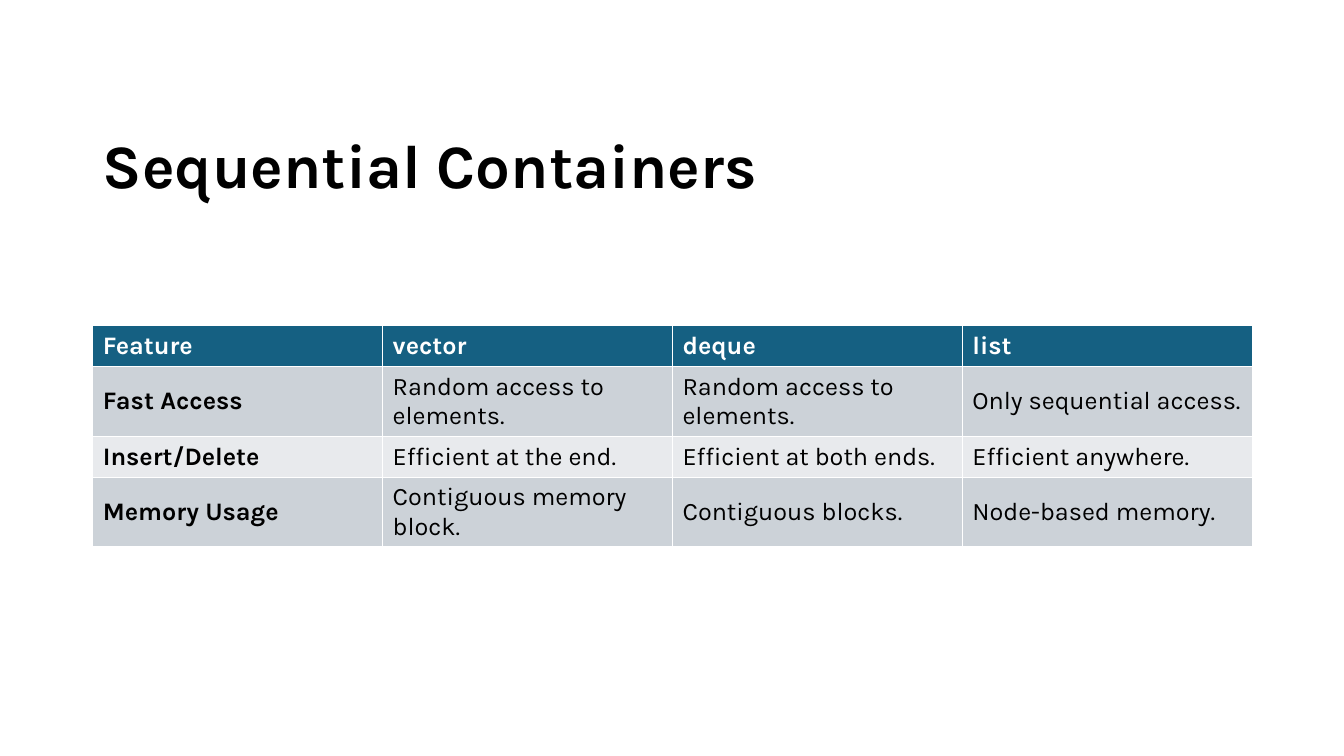
"""Build the Sequential Containers comparison slide."""
from pptx import Presentation
from pptx.dml.color import RGBColor
from pptx.enum.text import MSO_ANCHOR, PP_ALIGN
from pptx.util import Inches, Pt

BLACK = RGBColor(0x00, 0x00, 0x00)
WHITE = RGBColor(0xFF, 0xFF, 0xFF)
HEADER_BLUE = RGBColor(0x15, 0x60, 0x82)
BAND_DARK = RGBColor(0xCC, 0xD2, 0xD8)
BAND_LIGHT = RGBColor(0xE8, 0xEA, 0xED)

LEFT, WIDTH = Inches(0.92), Inches(11.5)
ROW_HEIGHT = Inches(0.41)
ROW_FILLS = [HEADER_BLUE, BAND_DARK, BAND_LIGHT, BAND_DARK]
FEATURES = [
    ["Feature", "vector", "deque", "list"],
    ["Fast Access", "Random access to elements.", "Random access to elements.",
     "Only sequential access."],
    ["Insert/Delete", "Efficient at the end.", "Efficient at both ends.",
     "Efficient anywhere."],
    ["Memory Usage", "Contiguous memory block.", "Contiguous blocks.",
     "Node-based memory."],
]


def add_run(paragraph, text, size, color, bold):
    run = paragraph.add_run()
    run.text = text
    run.font.name = "Karla"
    run.font.size = Pt(size)
    run.font.bold = bold
    run.font.color.rgb = color


prs = Presentation()
prs.slide_width, prs.slide_height = Inches(13.33), Inches(7.5)
slide = prs.slides.add_slide(prs.slide_layouts[5])

title = slide.shapes.title
title.left, title.top = LEFT, Inches(0.95)
title.width, title.height = WIDTH, Inches(1.45)
title.text_frame.vertical_anchor = MSO_ANCHOR.MIDDLE
heading = title.text_frame.paragraphs[0]
heading.alignment = PP_ALIGN.LEFT
heading.line_spacing = 0.9
add_run(heading, "Sequential Containers", 44, BLACK, True)

comparison = slide.shapes.add_table(
    len(FEATURES), len(FEATURES[0]), LEFT, Inches(3.23),
    WIDTH, ROW_HEIGHT * len(FEATURES)).table
for r, (texts, row_fill) in enumerate(zip(FEATURES, ROW_FILLS)):
    for c, text in enumerate(texts):
        cell = comparison.cell(r, c)
        cell.fill.solid()
        cell.fill.fore_color.rgb = row_fill
        cell.vertical_anchor = MSO_ANCHOR.MIDDLE
        add_run(cell.text_frame.paragraphs[0], text, 18,
                WHITE if r == 0 else BLACK, r == 0 or c == 0)

prs.save("out.pptx")
